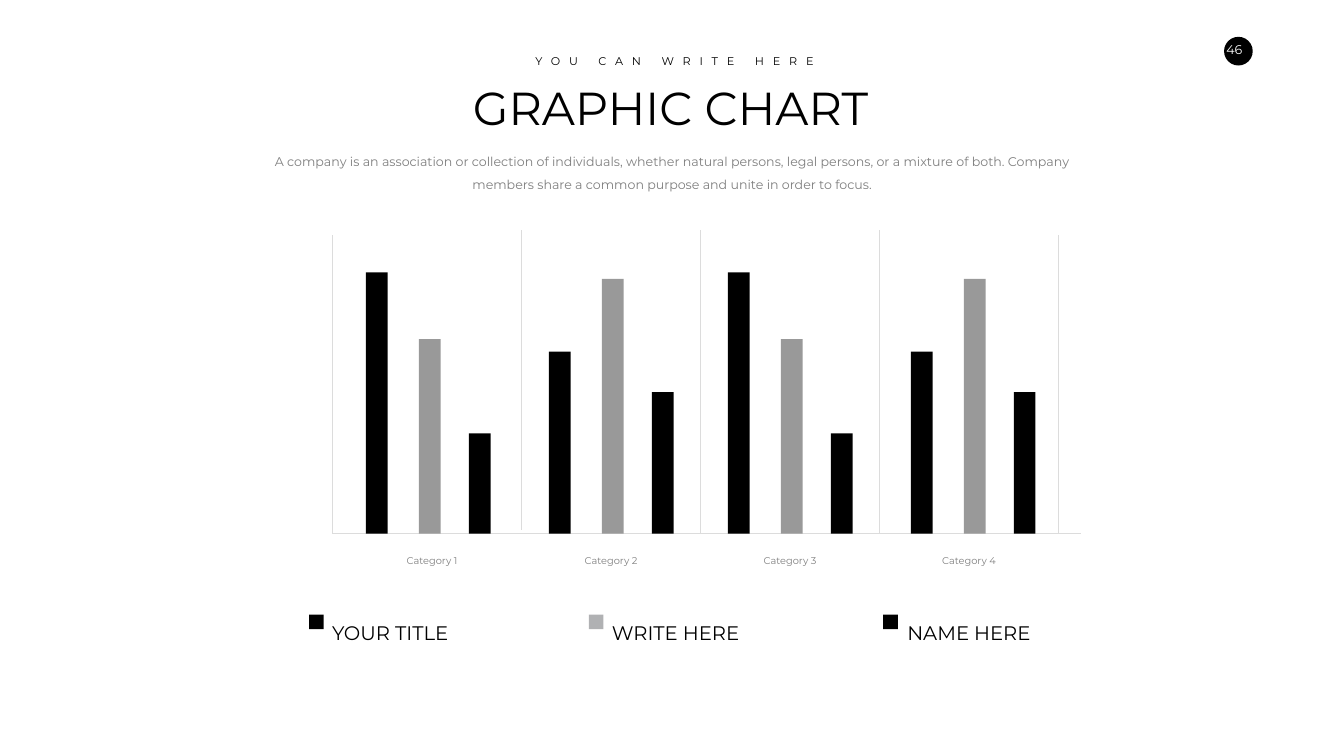
from lxml.etree import SubElement
from pptx import Presentation
from pptx.dml.color import RGBColor
from pptx.enum.shapes import MSO_CONNECTOR as Connector, MSO_SHAPE as Shape
from pptx.enum.text import MSO_ANCHOR as Anchor, MSO_AUTO_SIZE as AutoSize, PP_ALIGN as Align
from pptx.oxml.ns import qn
from pptx.util import Pt

COLORS = {
    "black": "000000", "white": "FFFFFF", "bar gray": "999999", "legend gray": "B0B1B3",
    "body": "7F7F7F", "label": "808080", "grid": "DCDCDC",
}
FONT = "Montserrat"

TITLE = "GRAPHIC CHART"
KICKER = "YOU CAN WRITE HERE"
INTRO = (
    "A company is an association or collection of individuals, whether natural persons, "
    "legal persons, or a mixture of both. Company members share a common purpose and "
    "unite in order to focus."
)
PAGE_NUMBER = "46"

# Category, left of its first bar, heights of its three bars
FALLING, PEAKED = (373.3, 277.9, 143.3), (260.2, 364, 202.2)
CATEGORIES = [
    ("Category 1", 522.7, FALLING),
    ("Category 2", 784.1, PEAKED),
    ("Category 3", 1039.7, FALLING),
    ("Category 4", 1301, PEAKED),
]
BAR_OFFSETS = (0, 75.6, 146.9)
BAR_COLORS = ("black", "bar gray", "black")
BAR_WIDTH = 31
BASELINE = 762.5
AXIS_LEFT, AXIS_RIGHT = 474.5, 1543.7
COLUMN_PITCH = 255.6
FIRST_DIVIDER, FIRST_LABEL = 745.2, 571

# Label, marker left, text left, marker color
LEGEND = [
    ("YOUR TITLE", 441.4, 467.3, "black"),
    ("WRITE HERE", 841, 866.9, "legend gray"),
    ("NAME HERE", 1261.4, 1288.8, "black"),
]


def rgb(name):
    return RGBColor.from_string(COLORS[name])


def write_text(shape, text, *, size, color="black", align=Align.LEFT, anchor=Anchor.TOP,
               line_spacing=1, margins=(7.2, 3.6), tracking=None):
    """Fill a shape with one paragraph; margins are (horizontal, vertical), tracking is in points."""
    frame = shape.text_frame
    frame.word_wrap = True
    frame.auto_size = AutoSize.NONE
    frame.vertical_anchor = anchor
    frame.margin_left = frame.margin_right = Pt(margins[0])
    frame.margin_top = frame.margin_bottom = Pt(margins[1])
    paragraph = frame.paragraphs[0]
    paragraph.alignment = align
    paragraph.line_spacing = line_spacing
    run = paragraph.add_run()
    run.text = text
    run.font.name, run.font.size = FONT, Pt(size)
    run.font.color.rgb = rgb(color)
    if tracking:
        run.font._element.set("spc", str(round(tracking * 100)))


def add_text(slide, text, left, top, width, height, **text_format):
    box = slide.shapes.add_textbox(Pt(left), Pt(top), Pt(width), Pt(height))
    write_text(box, text, **text_format)


def add_block(slide, kind, left, top, width, height, color):
    shape = slide.shapes.add_shape(kind, Pt(left), Pt(top), Pt(width), Pt(height))
    shape.shadow.inherit = False
    shape.fill.solid()
    shape.fill.fore_color.rgb = rgb(color)
    shape.line.fill.background()


def add_grid_line(slide, x1, y1, x2, y2):
    line = slide.shapes.add_connector(Connector.STRAIGHT, Pt(x1), Pt(y1), Pt(x2), Pt(y2))
    line.line.color.rgb = rgb("grid")
    line.line.width = Pt(1)
    SubElement(line._element.spPr, qn("a:effectLst"))


def add_header(slide):
    title = slide.shapes.title
    title.left, title.top, title.width, title.height = Pt(493.2), Pt(109.4), Pt(928.8), Pt(87.1)
    write_text(title, TITLE, size=66, align=Align.CENTER)
    # Moved right by half the tracking that follows the last letter
    add_text(slide, KICKER, 716.9, 73.4, 493.2, 26.6, size=16, align=Align.CENTER, tracking=12.6)
    add_text(slide, INTRO, 383, 205.9, 1154.2, 72.7, size=18, color="body",
             align=Align.CENTER, line_spacing=1.5)
    add_block(slide, Shape.OVAL, 1748.2, 52.6, 41, 41, "black")
    add_text(slide, PAGE_NUMBER, 1732, 52.6, 61.9, 36, size=18, color="white",
             align=Align.CENTER, margins=(14.4, 7.2))


def add_bar_graphic(slide):
    dividers = [FIRST_DIVIDER + COLUMN_PITCH * index for index in range(4)]
    tops = (329, 329, 329, 335.5)
    bottoms = (756.7, BASELINE, BASELINE, BASELINE)
    add_grid_line(slide, AXIS_LEFT, BASELINE, AXIS_LEFT, 335.5)
    add_grid_line(slide, AXIS_LEFT, BASELINE, AXIS_RIGHT, BASELINE)
    for x, top, bottom in zip(dividers, tops, bottoms):
        add_grid_line(slide, x, bottom, x, top)

    for index, (label, left, heights) in enumerate(CATEGORIES):
        for offset, height, color in zip(BAR_OFFSETS, heights, BAR_COLORS):
            add_block(slide, Shape.RECTANGLE, left + offset, BASELINE - height,
                      BAR_WIDTH, height, color)
        add_text(slide, label, FIRST_LABEL + COLUMN_PITCH * index, 784.1, 92.2, 32.4, size=14,
                 color="label", align=Align.CENTER, anchor=Anchor.MIDDLE, margins=(0, 0))


def add_legend(slide):
    for label, marker_left, text_left, color in LEGEND:
        add_block(slide, Shape.RECTANGLE, marker_left, 878, 20.9, 20.9, color)
        add_text(slide, label, text_left, 871, 300.2, 47.5, size=28,
                 anchor=Anchor.MIDDLE, line_spacing=1.5)


def main():
    presentation = Presentation()
    presentation.slide_width, presentation.slide_height = Pt(1919.5), Pt(1080)
    slide = presentation.slides.add_slide(presentation.slide_layouts[5])
    add_header(slide)
    add_bar_graphic(slide)
    add_legend(slide)
    presentation.save("out.pptx")


if __name__ == "__main__":
    main()
